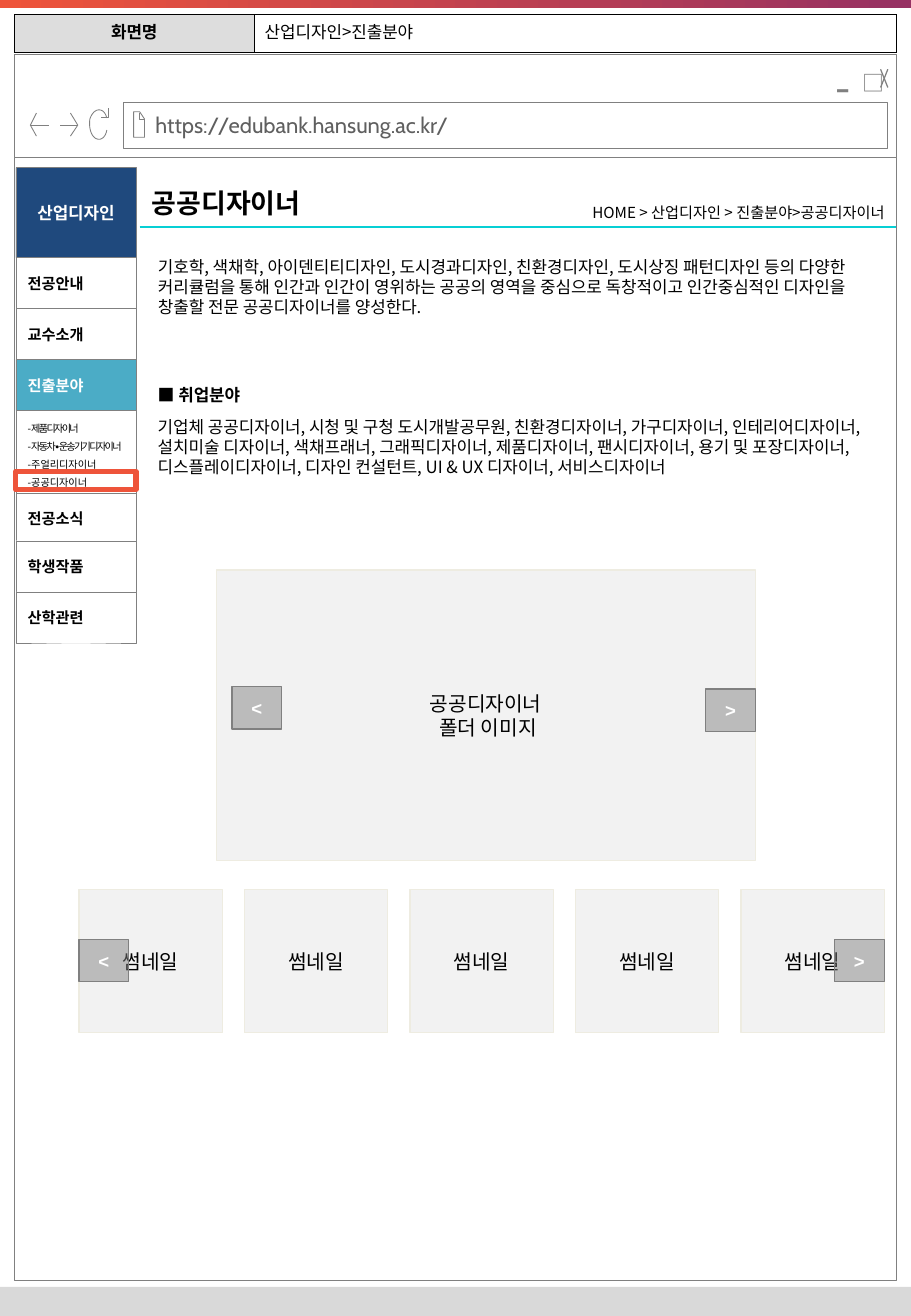
from lxml import etree
from pptx import Presentation
from pptx import util as u
from pptx.dml.color import RGBColor
from pptx.enum import shapes, text
from pptx.oxml.ns import qn

KR = "Noto Sans CJK KR"
GREY = "808080"
LEFT, CENTER, RIGHT = text.PP_ALIGN.LEFT, text.PP_ALIGN.CENTER, text.PP_ALIGN.RIGHT
TOP, MIDDLE = text.MSO_ANCHOR.TOP, text.MSO_ANCHOR.MIDDLE


def rgb(value):
    return RGBColor.from_string(value)


def inches(*values):
    return [u.Inches(v) for v in values]


def write(tf, content, size=10, color="000000", bold=False, font=KR, align=LEFT,
          leading=1.2, tracking=0, append=False):
    p = tf.paragraphs[-1]
    if p.runs and not append:
        p = tf.add_paragraph()
    p.alignment = align
    p.space_before = p.space_after = u.Pt(0)
    p.line_spacing = u.Pt(round(size * leading, 1))
    r = p.add_run()
    r.text = content
    r.font.size, r.font.bold, r.font.name = u.Pt(size), bold, font
    r.font.color.rgb = rgb(color)
    rPr = r._r.get_or_add_rPr()
    if tracking:
        rPr.set("spc", str(tracking * 100))
    etree.SubElement(rPr, qn("a:ea")).set("typeface", KR)


def frame(sp, anchor=MIDDLE, insets=(0.1, 0.05, 0.1, 0.05), wrap=True):
    tf = sp.text_frame
    tf.word_wrap = wrap
    tf.auto_size = text.MSO_AUTO_SIZE.NONE
    tf.vertical_anchor = anchor
    (tf.margin_left, tf.margin_top,
     tf.margin_right, tf.margin_bottom) = inches(*insets)
    return tf


def style(sp, fill=None, line=None, width=0.25):
    sp.shadow.inherit = False
    if fill:
        sp.fill.solid()
        sp.fill.fore_color.rgb = rgb(fill)
    else:
        sp.fill.background()
    if line:
        sp.line.color.rgb = rgb(line)
        sp.line.width = u.Pt(width)
    else:
        sp.line.fill.background()


def box(s, at, fill=None, line=None, width=0.25):
    sp = s.shapes.add_shape(shapes.MSO_SHAPE.RECTANGLE, *inches(*at))
    style(sp, fill, line, width)
    return sp


def label(s, at, content, anchor=MIDDLE, **fmt):
    tf = frame(s.shapes.add_textbox(*inches(*at)), anchor)
    write(tf, content, **fmt)


def outline(s, *strokes, width=0.5):
    fb = None
    for first, *rest in strokes:
        if fb is None:
            fb = s.shapes.build_freeform(*inches(*first), scale=1.0)
        else:
            fb.move_to(*inches(*first))
        fb.add_line_segments([inches(*pt) for pt in rest], close=False)
    style(fb.convert_to_shape(), None, GREY, width)


def curve(a, b, c, d, steps=10):
    for t in (i / steps for i in range(steps + 1)):
        k = 1 - t
        yield tuple(k**3 * a[i] + 3 * k * k * t * b[i] + 3 * k * t * t * c[i] + t**3 * d[i]
                    for i in (0, 1))


def placeholder(s, sp, at, anchor):
    sp.left, sp.top, sp.width, sp.height = inches(*at)
    s.shapes._spTree.append(sp._element)
    return frame(sp, anchor)


def arrow_button(s, x, y, sign):
    sp = box(s, (x, y, 0.41, 0.35), GREY, GREY, 0.75)
    clr = sp._element.spPr.find(qn("a:solidFill"))[0]
    etree.SubElement(clr, qn("a:alpha")).set("val", "48000")
    write(frame(sp, insets=(0.04,) * 4, wrap=False), sign, size=11, color="FFFFFF",
          bold=True, font="Arial", align=CENTER)


def gallery_box(s, at, *lines):
    tf = frame(box(s, at, "F2F2F2", "EEECE1", 0.75))
    for line in lines:
        write(tf, line, size=12, align=CENTER)


def menu_item(s, y, content, height=0.42, fill="FFFFFF", **fmt):
    tf = frame(box(s, (0.13, y, 0.99, height), fill, GREY))
    write(tf, content, **{"size": 9, "bold": True, **fmt})


def header_table(s):
    tbl = s.shapes.add_table(1, 2, *inches(0.12, 0.12, 7.26, 0.31)).table
    tbl.first_row = tbl.horz_banding = False
    columns = ((1.97, "DDDDDD", "화면명", True, CENTER),
               (5.29, "FFFFFF", "산업디자인>진출분야", False, LEFT))
    for i, (width, fill, content, bold, align) in enumerate(columns):
        tbl.columns[i].width = u.Inches(width)
        cell = tbl.cell(0, i)
        cell.vertical_anchor = MIDDLE
        cell.margin_left = cell.margin_right = u.Inches(0.09)
        cell.margin_top = cell.margin_bottom = u.Inches(0.07)
        write(cell.text_frame, content, bold=bold, align=align)
        tcPr = cell._tc.get_or_add_tcPr()
        for side in ("a:lnL", "a:lnR", "a:lnT", "a:lnB"):
            ln = etree.SubElement(tcPr, qn(side), w=str(u.Pt(0.25)))
            paint = etree.SubElement(ln, qn("a:solidFill"))
            etree.SubElement(paint, qn("a:srgbClr"), val="000000")
        cell.fill.solid()
        cell.fill.fore_color.rgb = rgb(fill)


def browser(s):
    bar = box(s, (0, 0, 7.5, 0.07))
    bar.fill.gradient()
    bar.fill.gradient_angle = 0
    for stop, color in zip(bar.fill.gradient_stops, ("EE543A", "973163")):
        stop.color.rgb = rgb(color)
    box(s, (0, 10.59, 7.5, 0.24), "D9D9D9")
    box(s, (0.12, 1.3, 7.26, 9.24), "FFFFFF", GREY, 0.5)
    box(s, (0.12, 0.45, 7.26, 0.85), "FFFFFF", GREY, 0.5)
    address = box(s, (1.02, 0.84, 6.29, 0.38), "FFFFFF", GREY, 0.5)
    write(frame(address, insets=(0.26, 0.05, 0.1, 0.05)), "https://edubank.hansung.ac.kr/",
          size=13, color="5F5F5F", font="Cabin")
    outline(s, [(1.15, 0.93), (1.15, 0.98), (1.19, 0.98)],
            [(1.1, 0.92), (1.1, 1.13), (1.19, 1.13), (1.19, 0.98), (1.15, 0.92), (1.1, 0.92)])
    outline(s, [(0.3, 1.12), (0.25, 1.03), (0.3, 0.93)], [(0.25, 1.03), (0.4, 1.03)])
    outline(s, [(0.58, 0.93), (0.64, 1.03), (0.58, 1.12)], [(0.63, 1.03), (0.49, 1.03)])
    outline(s, [(0.89, 0.89), (0.89, 0.97), (0.83, 0.97)],
            [*curve((0.88, 1.07), (0.87, 1.13), (0.83, 1.16), (0.79, 1.14)),
             *curve((0.79, 1.14), (0.75, 1.12), (0.73, 1.05), (0.74, 0.98)),
             *curve((0.74, 0.98), (0.76, 0.92), (0.8, 0.89), (0.84, 0.91)),
             *curve((0.84, 0.91), (0.86, 0.92), (0.87, 0.94), (0.88, 0.97))])
    outline(s, [(7.31, 0.57), (7.25, 0.72)], [(7.25, 0.57), (7.31, 0.72)], width=0.75)
    window = dict(color=GREY, align=CENTER, leading=1.8)
    label(s, (7.0, 0.41, 0.29, 0.43), "□", size=13, **window)
    label(s, (6.75, 0.22, 0.39, 0.76), "-", size=26, **window)


def sidebar(s):
    menu_item(s, 2.12, "전공안내")
    menu_item(s, 2.54, "교수소개")
    menu_item(s, 1.38, "산업디자인", 0.74, "1F497D", size=10, color="FFFFFF", align=CENTER)
    menu_item(s, 2.96, "진출분야", fill="4BACC6", color="FFFFFF")
    tf = frame(box(s, (0.13, 3.38, 0.99, 0.68), "FFFFFF", GREY))
    submenu = (("제품디자이너", -1), ("자동차∙운송기기디자이너", -1),
               ("주얼리디자이너", 0), ("공공디자이너", 0))
    for name, tracking in submenu:
        write(tf, "-", size=6, leading=1.78)
        write(tf, name, size=6, leading=1.78, tracking=tracking, append=True)
    for y, name in ((4.06, "전공소식"), (4.45, "학생작품"), (4.87, "산학관련")):
        menu_item(s, y, name)
    box(s, (0.13, 3.88, 0.99, 0.15), line="EE543A", width=3)


def article(s):
    tf = placeholder(s, s.shapes.title, (1.15, 1.46, 2.73, 0.42), MIDDLE)
    write(tf, "공공디자이너", size=16, bold=True)
    rule = s.shapes.add_connector(shapes.MSO_CONNECTOR.STRAIGHT, *inches(1.15, 1.87, 7.38, 1.87))
    rule.line.color.rgb = rgb("06CFD4")
    rule.line.width = u.Pt(1)
    etree.SubElement(rule._element.spPr, qn("a:effectLst"))
    label(s, (2.98, 1.62, 4.4, 0.25), "HOME > 산업디자인 > 진출분야>공공디자이너", TOP,
          size=9, align=RIGHT)
    tf = placeholder(s, s.placeholders[1], (1.2, 2.06, 6.18, 0.61), TOP)
    pPr = tf.paragraphs[0]._p.get_or_add_pPr()
    pPr.set("marL", "0")
    pPr.set("indent", "0")
    etree.SubElement(pPr, qn("a:buNone"))
    write(tf, "기호학, 색채학, 아이덴티티디자인, 도시경과디자인, 친환경디자인, 도시상징 패턴디자인 등의 "
          "다양한 커리큘럼을 통해 인간과 인간이 영위하는 공공의 영역을 중심으로 독창적이고 인간중심적인 "
          "디자인을 창출할 전문 공공디자이너를 양성한다.")
    label(s, (1.2, 3.11, 1.16, 0.27), "■ 취업분야", bold=True, font="Arial")
    label(s, (1.2, 3.38, 6.18, 0.77),
          "기업체 공공디자이너, 시청 및 구청 도시개발공무원, 친환경디자이너, 가구디자이너, "
          "인테리어디자이너, 설치미술 디자이너, 색채프래너, 그래픽디자이너, 제품디자이너, 팬시디자이너, "
          "용기 및 포장디자이너, 디스플레이디자이너, 디자인 컨설턴트, UI & UX 디자이너, 서비스디자이너", TOP)


def gallery(s):
    gallery_box(s, (1.78, 4.69, 4.44, 2.39), "공공디자이너", " 폴더 이미지")
    first, last, side, count = 0.65, 6.1, 1.18, 5
    step = (last - first) / (count - 1)
    for i in range(count):
        gallery_box(s, (first + i * step, 7.32, side, side), "썸네일")
    for x, y, sign in ((0.65, 7.73, "<"), (6.87, 7.73, ">"), (1.91, 5.65, "<"), (5.81, 5.67, ">")):
        arrow_button(s, x, y, sign)


def main():
    prs = Presentation()
    prs.slide_width, prs.slide_height = inches(7.5, 10.83)
    s = prs.slides.add_slide(prs.slide_layouts[1])
    browser(s)
    header_table(s)
    sidebar(s)
    article(s)
    gallery(s)
    prs.save("out.pptx")


if __name__ == "__main__":
    main()
